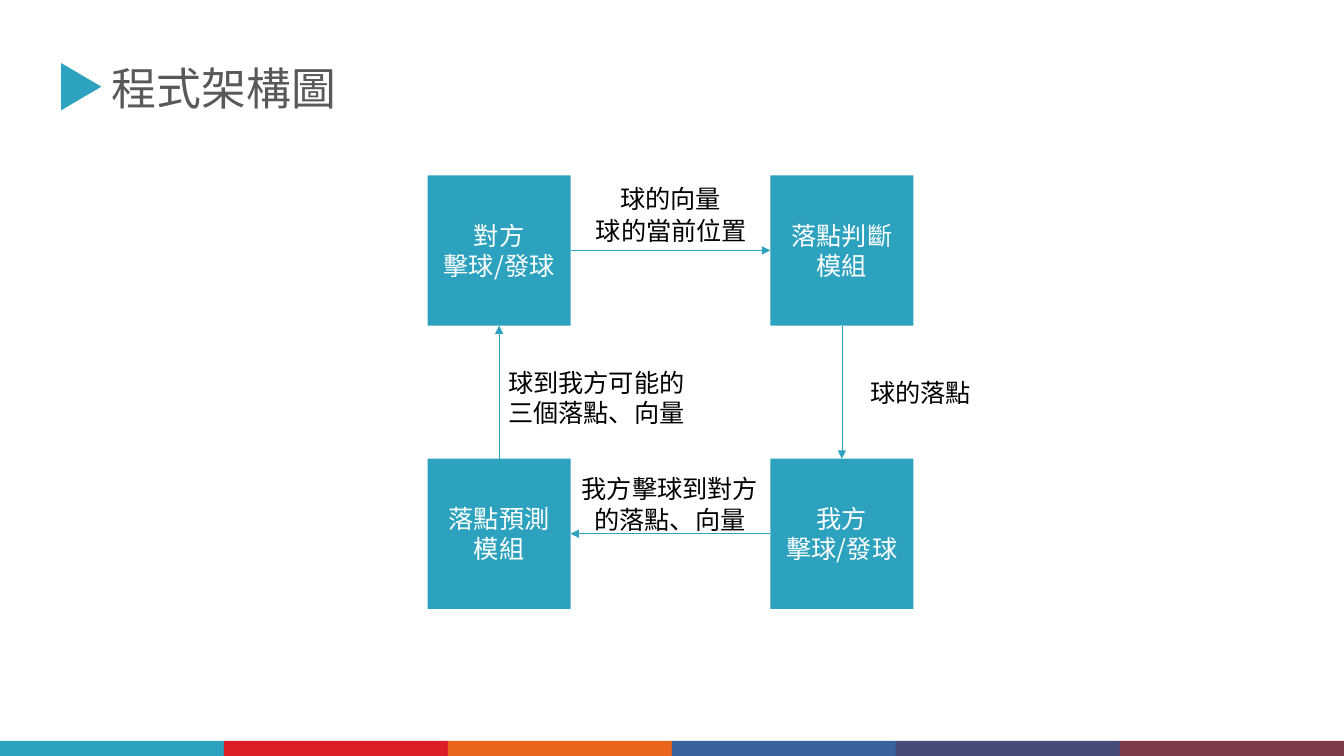
import pptx
import pptx.dml.color
import pptx.enum.shapes
import pptx.enum.text
import pptx.oxml
import pptx.oxml.ns
import pptx.util
from pptx.util import Inches

FONT = "Noto Sans CJK SC"
TEAL = "2DA2BF"
SHAPE = pptx.enum.shapes.MSO_SHAPE
ALIGN = pptx.enum.text.PP_ALIGN

SLIDE_WIDTH, SLIDE_HEIGHT = 13.33, 7.5
BAR_HEIGHT = 0.15
BAR_COLOURS = [TEAL, "DA1F28", "EB641B", "39639D", "474B78", "7D3C4A"]

BOX_WIDTH, BOX_HEIGHT = 1.42, 1.49
COLUMNS = [4.24, 7.64]
ROWS = [1.74, 4.55]
# Clockwise from the top left: column, row, text
BOXES = [
    (0, 0, "對方\n擊球/發球"),
    (1, 0, "落點判斷模組"),
    (1, 1, "我方\n擊球/發球"),
    (0, 1, "落點預測模組"),
]
# Connection sites of a rectangle
TOP, LEFT, BOTTOM, RIGHT = range(4)
ARROW_SITES = [(RIGHT, LEFT), (BOTTOM, TOP), (LEFT, RIGHT), (TOP, BOTTOM)]
# Left, top, width, height, text
LABELS = [
    (6.02, 1.77, 1.26, 0.4, "球的向量"),
    (5.8, 2.09, 1.72, 0.4, "球的當前位置"),
    (8.5, 3.69, 1.26, 0.4, "球的落點"),
    (5.61, 4.65, 2.07, 0.71, "我方擊球到對方的落點、向量"),
    (4.88, 3.59, 2.07, 0.71, "球到我方可能的三個落點、向量"),
]


def rgb(colour):
    return pptx.dml.color.RGBColor.from_string(colour)


def write_text(shape, text, size, colour, alignment):
    text_frame = shape.text_frame
    text_frame.word_wrap = True
    text_frame.text = text
    for paragraph in text_frame.paragraphs:
        paragraph.alignment = alignment
        for run in paragraph.runs:
            run.font.size = pptx.util.Pt(size)
            run.font.name = FONT
            run.font.color.rgb = rgb(colour)
            # Chinese characters take the East Asian typeface
            east_asian = pptx.oxml.ns.qn("a:ea")
            run.font._element.append(
                run.font._element.makeelement(east_asian, {"typeface": FONT}))


def add_label(shapes, left, top, width, height, text,
              size=18, colour="000000", alignment=ALIGN.CENTER):
    label = shapes.add_textbox(
        Inches(left), Inches(top), Inches(width), Inches(height))
    write_text(label, text, size, colour, alignment)


def add_filled(shapes, kind, left, top, width, height, colour):
    shape = shapes.add_shape(
        kind, Inches(left), Inches(top), Inches(width), Inches(height))
    shape.shadow.inherit = False
    shape.fill.solid()
    shape.fill.fore_color.rgb = rgb(colour)
    shape.line.fill.background()
    return shape


def add_box(shapes, column, row, text):
    box = add_filled(shapes, SHAPE.RECTANGLE, COLUMNS[column], ROWS[row],
                     BOX_WIDTH, BOX_HEIGHT, TEAL)
    write_text(box, text, 18, "FFFFFF", ALIGN.CENTER)
    text_frame = box.text_frame
    text_frame.vertical_anchor = pptx.enum.text.MSO_ANCHOR.MIDDLE
    # Four characters to a line, or four and a slash
    text_frame.margin_left = text_frame.margin_right = Inches(0.09)
    return box


def add_arrow(shapes, source, source_site, target, target_site):
    arrow = shapes.add_connector(
        pptx.enum.shapes.MSO_CONNECTOR.STRAIGHT, 0, 0, 0, 0)
    arrow.begin_connect(source, source_site)
    arrow.end_connect(target, target_site)
    arrow.line.color.rgb = rgb(TEAL)
    arrow.line.width = pptx.util.Pt(0.5)
    line = arrow.line._get_or_add_ln()
    line.append(line.makeelement(
        pptx.oxml.ns.qn("a:tailEnd"), {"type": "triangle"}))
    properties = arrow._element.spPr
    properties.append(
        properties.makeelement(pptx.oxml.ns.qn("a:effectLst"), {}))


def add_title(shapes):
    add_label(shapes, 1.01, 0.55, 3.26, 0.64, "程式架構圖",
              32, "595959", ALIGN.LEFT)
    marker = add_filled(shapes, SHAPE.ISOSCELES_TRIANGLE,
                        0.57, 0.66, 0.47, 0.4, TEAL)
    marker.rotation = 90


def add_colour_bar(shapes):
    width = SLIDE_WIDTH / len(BAR_COLOURS)
    for index, colour in enumerate(BAR_COLOURS):
        add_filled(shapes, SHAPE.RECTANGLE, index * width,
                   SLIDE_HEIGHT - BAR_HEIGHT, width, BAR_HEIGHT, colour)


def add_cycle(shapes):
    boxes = [add_box(shapes, *box) for box in BOXES]
    for index, (source_site, target_site) in enumerate(ARROW_SITES):
        target = boxes[(index + 1) % len(boxes)]
        add_arrow(shapes, boxes[index], source_site, target, target_site)
    for label in LABELS:
        add_label(shapes, *label)


def main():
    presentation = pptx.Presentation()
    presentation.slide_width = Inches(SLIDE_WIDTH)
    presentation.slide_height = Inches(SLIDE_HEIGHT)
    slide = presentation.slides.add_slide(presentation.slide_layouts[6])

    # Heading
    add_title(slide.shapes)
    # Strip along the bottom edge
    add_colour_bar(slide.shapes.add_group_shape().shapes)
    # Flow between the four modules
    add_cycle(slide.shapes.add_group_shape().shapes)

    presentation.save("out.pptx")


main()
